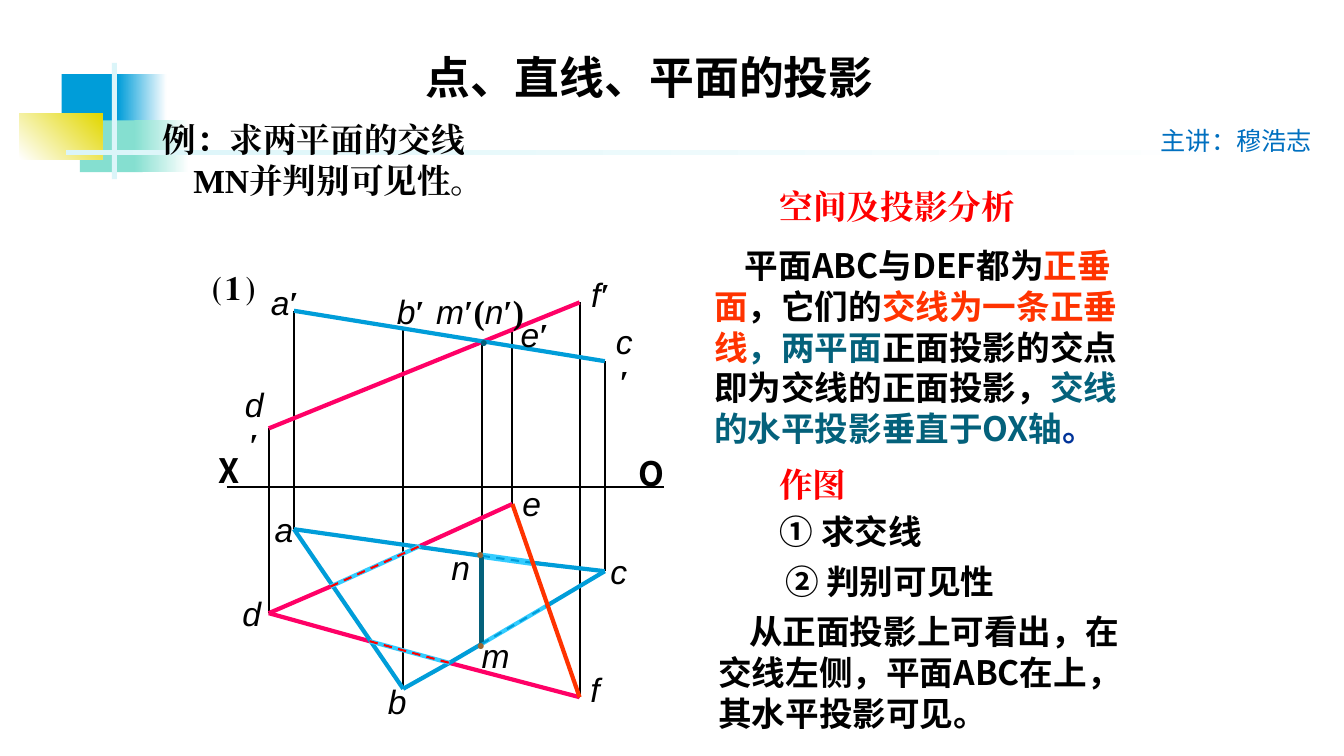
from itertools import groupby

from lxml import etree
from pptx import Presentation
from pptx.dml.color import RGBColor
from pptx.enum.dml import MSO_LINE
from pptx.enum.shapes import MSO_CONNECTOR, MSO_SHAPE
from pptx.enum.text import MSO_ANCHOR, PP_ALIGN
from pptx.oxml.ns import qn
from pptx.util import Pt

RECT, STRAIGHT, DASH = MSO_SHAPE.RECTANGLE, MSO_CONNECTOR.STRAIGHT, MSO_LINE.DASH
LEFT, MID, CENTER = PP_ALIGN.LEFT, MSO_ANCHOR.MIDDLE, PP_ALIGN.CENTER

BLACK = RGBColor(0x00, 0x00, 0x00)
WHITE = RGBColor(0xFF, 0xFF, 0xFF)
BLUE = RGBColor(0x00, 0x9D, 0xD9)
MINT = RGBColor(0x85, 0xDF, 0xD0)
YELLOW = RGBColor(0xE2, 0xD7, 0x00)
PALE = RGBColor(0xDB, 0xF5, 0xF9)
SKY = RGBColor(0x33, 0xCC, 0xFF)
PINK = RGBColor(0xFF, 0x00, 0x66)
RED = RGBColor(0xFF, 0x00, 0x00)
ORANGE = RGBColor(0xFF, 0x33, 0x00)
TEAL = RGBColor(0x04, 0x61, 0x7B)
NAVY = RGBColor(0x00, 0x33, 0x99)
BROWN = RGBColor(0x99, 0x66, 0x33)
AZURE = RGBColor(0x00, 0x70, 0xC0)
SANS, SERIF, ARIAL = "Noto Sans CJK SC", "Times New Roman", "Arial"

deck = Presentation()
deck.slide_width, deck.slide_height = Pt(960), Pt(540)
slide = deck.slides.add_slide(deck.slide_layouts[5])
shapes = slide.shapes


def text(spot, *paras, box=None, wrap=True, align=CENTER, pitch=None, indent=0,
         size=24, font=SANS, color=BLACK, bold=True, italic=False):
    """Write paragraphs of (words, changes) runs; indent the last one's first line."""
    box = box or shapes.add_textbox(0, 0, 0, 0)
    box.left, box.top, box.width, box.height = map(Pt, spot)
    frame = box.text_frame
    frame.word_wrap, frame.vertical_anchor = wrap, MID
    for i, runs in enumerate(paras):
        para = frame.add_paragraph() if i else frame.paragraphs[0]
        para.alignment = align
        if pitch:
            para.line_spacing = Pt(pitch)
        for words, changes in runs:
            look = dict(font=font, color=color, bold=bold, italic=italic) | changes
            run = para.add_run()
            run.text = words
            face = run.font
            face.size, face.name = Pt(size), look["font"]
            face.bold, face.italic = look["bold"], look["italic"]
            face.color.rgb = look["color"]
            east = etree.SubElement(run._r.get_or_add_rPr(), qn("a:ea"))
            east.set("typeface", look["font"])
    if indent:
        para._p.get_or_add_pPr().set("indent", str(Pt(indent)))


def line(start, end, color, width, dash=None):
    edge = shapes.add_connector(STRAIGHT, *map(Pt, start + end))
    edge.line.color.rgb, edge.line.width = color, Pt(width)
    if dash:
        edge.line.dash_style = dash
    etree.SubElement(edge._element.spPr, qn("a:effectLst"))


# Corner blocks and rules: spot, first colour, last colour, angle
blocks = [
    ((44, 53, 46, 37), BLUE, None, 0),
    ((84, 53, 35, 37), BLUE, WHITE, 0),
    ((57, 86, 45, 37), MINT, None, 0),
    ((96, 86, 39, 37), MINT, WHITE, 0),
    ((14, 81, 59, 33), WHITE, YELLOW, 45),
    ((80, 45, 3.5, 83), PALE, None, 0),
    ((47, 107.5, 864, 3.5), PALE, WHITE, 0),
]
for spot, first, last, angle in blocks:
    block = shapes.add_shape(RECT, *map(Pt, spot))
    block.shadow.inherit = False
    block.line.fill.background()
    if last is None:
        block.fill.solid()
        block.fill.fore_color.rgb = first
        continue
    block.fill.gradient()
    block.fill.gradient_angle = angle
    for stop, color, place in zip(block.fill.gradient_stops, (first, last), (0, 1)):
        stop.color.rgb, stop.position = color, place

# Capitals are front views, small letters top views; p to u are edge crossings
spots = {
    "X": (162, 348), "O": (474, 348),
    "A": (210, 222), "B": (288, 234), "C": (432, 258),
    "D": (192, 306), "E": (366, 234), "F": (414, 216), "M": (344, 245),
    "a": (210, 378), "b": (288, 492), "c": (432, 408),
    "d": (192, 438), "e": (366, 360), "f": (414, 498),
    "m": (344, 460), "n": (344, 397),
    "p": (300, 390), "q": (236, 419), "r": (264, 458),
    "s": (321, 473.5), "t": (380, 402), "u": (390, 433),
}
edges = [
    ("ab ac bc ed df ef", BLACK, 0.75, None),
    ("XO Aa Bb Cc Dd Ee Ff Mm", BLACK, 1.5, None),
    ("DF dr sf ep dq", PINK, 3, None),
    ("AC ab an tc bs sm uc", BLUE, 3, None),
    ("rs qp mu", SKY, 3, None),
    ("nt", SKY, 4.5, None),
    ("nm", TEAL, 3, None),
    ("qp rs", RED, 1.5, DASH),
    ("mu nt", BLUE, 1.5, DASH),
    ("ef", ORANGE, 3, None),
]
for pairs, color, width, dash in edges:
    for start, end in pairs.split():
        line(spots[start], spots[end], color, width, dash)

# Point labels: words, left, top, width, wrap
labels = [
    ("a", 189, 360, 27, False), ("b", 270, 483, 27, False),
    ("c", 429, 390, 25, False), ("d", 166, 420, 27, False),
    ("e", 366, 341, 26, False), ("f", 414, 474, 22, False),
    ("n", 312, 387, 34, True), ("m", 337, 450, 34, False),
    ("a′", 185, 198, 37, True), ("b′", 273, 204, 41, True),
    ("c′", 431, 240, 30, True), ("d ′", 163, 285, 37, True),
    ("e′", 361, 221, 42, True), ("f′", 415, 192, 28, False),
    ("m′(n′)", 293, 204, 100, True),
]
for words, left, top, width, wrap in labels:
    runs = []
    for mark, group in groupby(words, lambda sign: sign in "′()"):
        changes = dict(font=SERIF, bold=True, italic=False) if mark else {}
        runs.append(("".join(group), changes))
    text((left, top, width, 36), runs, wrap=wrap, font=ARIAL, bold=False, italic=True)

for x, y, color in [(343, 396, BROWN), (343.5, 461, BROWN), (345.5, 244, TEAL)]:
    text((x - 13, y - 10, 26, 20), [("●", {})], wrap=False, size=10, font=SERIF,
         color=color, bold=False)

for words, left, top in [("O", 449, 320), ("X", 149, 318)]:
    text((left, top, 27, 36), [(words, {})], wrap=False)

text((245, 32, 438, 45), [("点、直线、平面的投影", {})], box=shapes.title, size=32)
text((822, 86, 131, 29), [("主讲：穆浩志", {})], align=LEFT, size=18,
     color=AZURE, bold=False)
text((109, 81, 304, 66), [("例：求两平面的交线", {})], [("MN并判别可见性。", {})],
     align=LEFT, pitch=29, indent=22, font=SERIF)
text((143, 179, 48, 45), [("⑴", {})], size=32, font=SERIF)

text((506, 129, 270, 36), [("空间及投影分析", {})], font=SERIF, color=RED)
text((503, 171, 320, 153), [
    ("平面ABC与DEF都为", {}),
    ("正垂面", dict(color=ORANGE)),
    ("，它们的", {}),
    ("交线为一条正垂线", dict(color=ORANGE)),
    ("，两平面", dict(color=TEAL)),
    ("正面投影的交点即为交线的正面投影，", {}),
    ("交线的水平投影垂直于OX轴", dict(color=TEAL)),
    ("。", dict(color=NAVY)),
], align=LEFT, pitch=29, indent=22)
text((549, 328, 63, 36), [("作图", {})], wrap=False, font=SERIF, color=RED)
text((550, 361, 125, 36), [("① 求交线", {})], wrap=False, align=LEFT)
text((549, 397, 173, 36), [("② 判别可见性", {})], wrap=False)
text((506, 433, 324, 94),
     [("从正面投影上可看出，在交线左侧，平面ABC在上，其水平投影可见。", {})],
     align=LEFT, pitch=29, indent=22)

deck.save("out.pptx")
